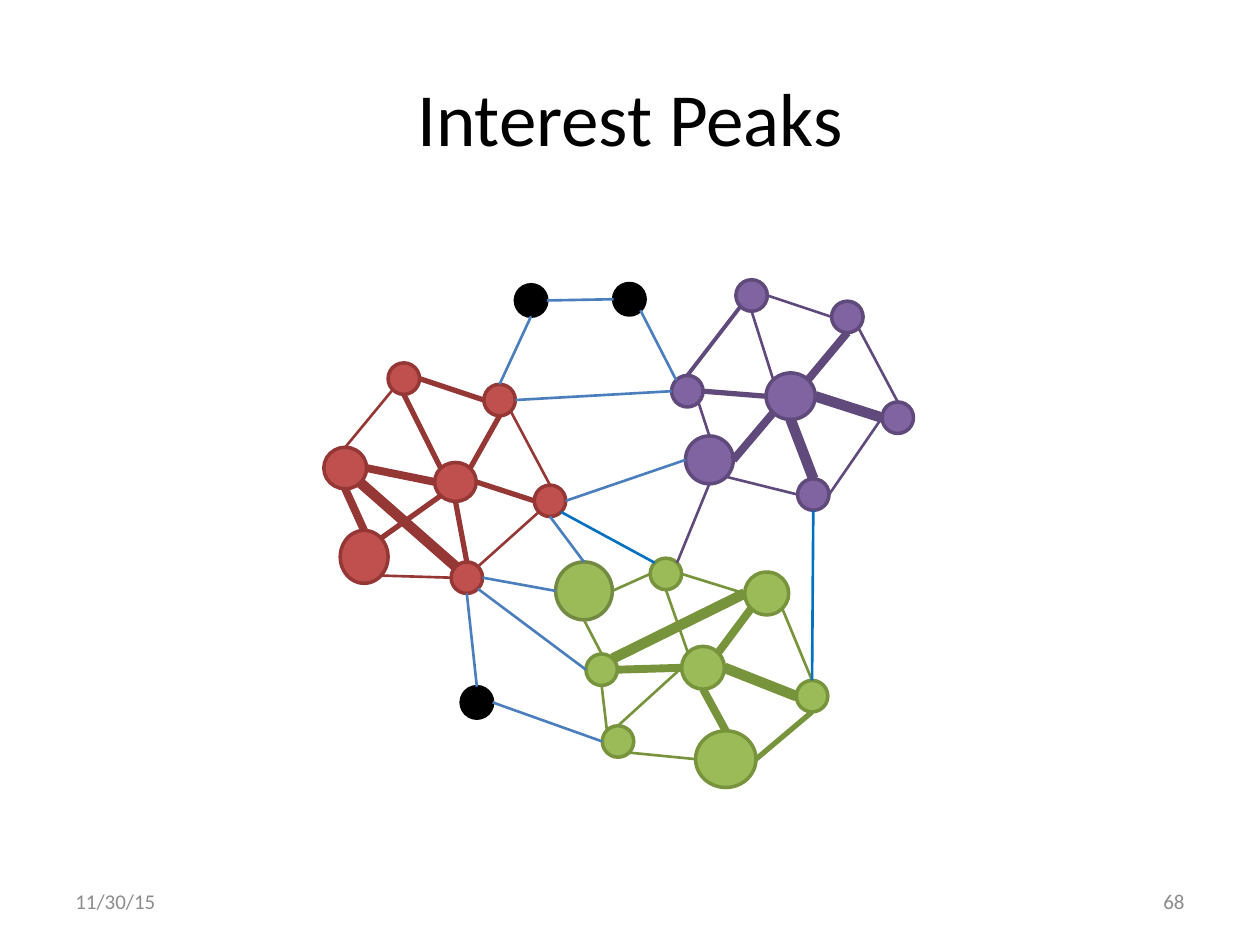
import pptx
import pptx.dml.color
import pptx.enum.shapes
import pptx.enum.text
import pptx.oxml
import pptx.util

Inches = pptx.util.Inches
Pt = pptx.util.Pt
RGBColor = pptx.dml.color.RGBColor
Align = pptx.enum.text.PP_ALIGN

BLACK = RGBColor(0x00, 0x00, 0x00)
GRAY = RGBColor(0x8C, 0x8C, 0x8C)
RED = RGBColor(0xC0, 0x50, 0x4D)
MAROON = RGBColor(0x95, 0x37, 0x35)
GREEN = RGBColor(0x9B, 0xBB, 0x59)
OLIVE = RGBColor(0x77, 0x93, 0x3C)
MOSS = RGBColor(0x73, 0x8A, 0x42)
PURPLE = RGBColor(0x80, 0x64, 0xA2)
PLUM = RGBColor(0x60, 0x4A, 0x7B)
BLUE = RGBColor(0x4B, 0x7E, 0xBC)
AZURE = RGBColor(0x00, 0x70, 0xC0)

DOT = 0.25
DIAG = 0.5 ** 0.5
SITES = {
    "n": (0, -1), "ne": (DIAG, -DIAG), "e": (1, 0), "se": (DIAG, DIAG),
    "s": (0, 1), "sw": (-DIAG, DIAG), "w": (-1, 0), "nw": (-DIAG, -DIAG),
}

NODES = [
    (RED, MAROON, {
        "r1": (2.57, 3.55, 0.34, 0.33), "r2": (2.7, 4.21, 0.38, 0.42),
        "r3": (3.45, 3.67, 0.33, 0.31), "r4": (4.24, 3.85),
        "r5": (3.58, 4.46), "r6": (3.08, 2.88), "r7": (3.84, 3.05),
    }),
    (GREEN, OLIVE, {
        "g1": (4.65, 5.19), "g2": (4.78, 5.76),
        "g3": (5.41, 5.13, 0.34, 0.34), "g4": (6.32, 5.4),
        "g5": (5.52, 5.8, 0.48, 0.45), "g6": (5.16, 4.43),
        "g7": (5.91, 4.54, 0.35, 0.34),
    }),
    (PURPLE, PLUM, {
        "p1": (5.33, 2.98), "p2": (5.44, 3.46, 0.38, 0.38),
        "p3": (6.08, 2.96, 0.39, 0.37), "p4": (7, 3.19),
        "p5": (6.33, 3.8), "p6": (5.84, 2.22), "p7": (6.6, 2.39),
    }),
    (GREEN, MOSS, {"g8": (4.41, 4.46, 0.45, 0.46)}),
    (BLACK, BLACK, {"b1": (3.66, 5.45), "b2": (4.87, 2.25), "b3": (4.09, 2.26)}),
]

EDGES = [
    (MAROON, 1.5, ["r6 sw r1 n", "r5 w r2 se", "r7 se r4 n", "r4 sw r5 ne"]),
    (MAROON, 3, ["r6 s r3 nw", "r4 w r3 e", "r3 s r5 n", "r6 e r7 w",
                 "r3 sw r2 ne", "r7 s r3 ne"]),
    (MAROON, 4.5, ["r2 n r1 s", "r3 w r1 e"]),
    (MAROON, 6, ["r1 se r5 nw"]),
    (OLIVE, 1.5, ["g6 s g3 nw", "g2 n g3 w", "g5 w g2 se", "g6 e g7 w",
                  "g6 w g8 e", "g1 n g8 s", "g2 nw g1 s", "g4 n g7 se"]),
    (OLIVE, 3, ["g4 s g5 e"]),
    (OLIVE, 4.5, ["g3 s g5 n", "g3 w g1 e", "g7 sw g3 ne"]),
    (OLIVE, 6, ["g4 w g3 e", "g1 ne g7 w"]),
    (PLUM, 1.5, ["p6 s p3 nw", "p2 n p1 se", "g6 ne p2 s", "p4 w p5 e",
                 "p6 e p7 w", "p7 se p4 n", "p5 w p2 se"]),
    (PLUM, 2.25, ["p6 sw p1 n"]),
    (PLUM, 3, ["p1 e p3 w"]),
    (PLUM, 4.5, ["p3 sw p2 e", "p3 ne p7 s"]),
    (PLUM, 6, ["p3 s p5 n", "p3 e p4 w"]),
    (AZURE, 1.5, ["g6 nw r4 se", "p5 s g4 n"]),
    (BLUE, 1.5, ["g1 w r5 se", "p1 w r7 e", "p2 w r4 e", "g8 n r4 s",
                 "g8 w r5 e", "b3 s r7 n", "p1 nw b2 se", "b2 w b3 e",
                 "b1 n r5 s", "g2 w b1 e"]),
]

TEXTS = [
    ("Interest Peaks", (0.5, 0.3, 9, 1.25), 42.9, BLACK, Align.CENTER),
    ("11/30/15", (0.5, 6.95, 2.33, 0.4), 12, GRAY, Align.LEFT),
    ("68", (7.17, 6.95, 2.33, 0.4), 12, GRAY, Align.RIGHT),
]


class Graph:
    """Draw nodes, edges and labels on one slide in a shared style."""

    def __init__(self, slide, font="Calibri", rim=2):
        self.slide, self.font, self.rim = slide, font, rim
        self.nodes = {}

    def node(self, name, fill, line, left, top, width=DOT, height=DOT):
        dot = self.slide.shapes.add_shape(
            pptx.enum.shapes.MSO_SHAPE.OVAL,
            *map(Inches, (left, top, width, height)))
        dot.shadow.inherit = False
        dot.fill.solid()
        dot.fill.fore_color.rgb = fill
        dot.line.color.rgb = line
        dot.line.width = Pt(self.rim)
        self.nodes[name] = (left + width / 2, top + height / 2, width / 2, height / 2)

    def point(self, name, site):
        x, y, rx, ry = self.nodes[name]
        dx, dy = SITES[site]
        return Inches(x + rx * dx), Inches(y + ry * dy)

    def edge(self, ends, color, width):
        first, out, last, into = ends.split()
        link = self.slide.shapes.add_connector(
            pptx.enum.shapes.MSO_CONNECTOR.STRAIGHT,
            *self.point(first, out), *self.point(last, into))
        link.line.color.rgb = color
        link.line.width = Pt(width)
        props = link._element.spPr
        props.append(pptx.oxml.parse_xml(
            '<a:effectLst xmlns:a="http://schemas.openxmlformats.org/drawingml/2006/main"/>'))

    def text(self, words, box, size, color, align):
        frame = self.slide.shapes.add_textbox(*map(Inches, box)).text_frame
        frame.word_wrap = True
        frame.vertical_anchor = pptx.enum.text.MSO_ANCHOR.MIDDLE
        para = frame.paragraphs[0]
        para.alignment = align
        run = para.add_run()
        run.text = words
        style = {"name": self.font, "size": Pt(size)}
        for key, value in style.items():
            setattr(run.font, key, value)
        run.font.color.rgb = color


def main():
    deck = pptx.Presentation()
    deck.slide_width, deck.slide_height = Inches(10), Inches(7.5)
    graph = Graph(deck.slides.add_slide(deck.slide_layouts[6]))
    for fill, line, group in NODES:
        for name, box in group.items():
            graph.node(name, fill, line, *box)
    for color, width, links in EDGES:
        for ends in links:
            graph.edge(ends, color, width)
    for item in TEXTS:
        graph.text(*item)
    deck.save("out.pptx")


if __name__ == "__main__":
    main()
